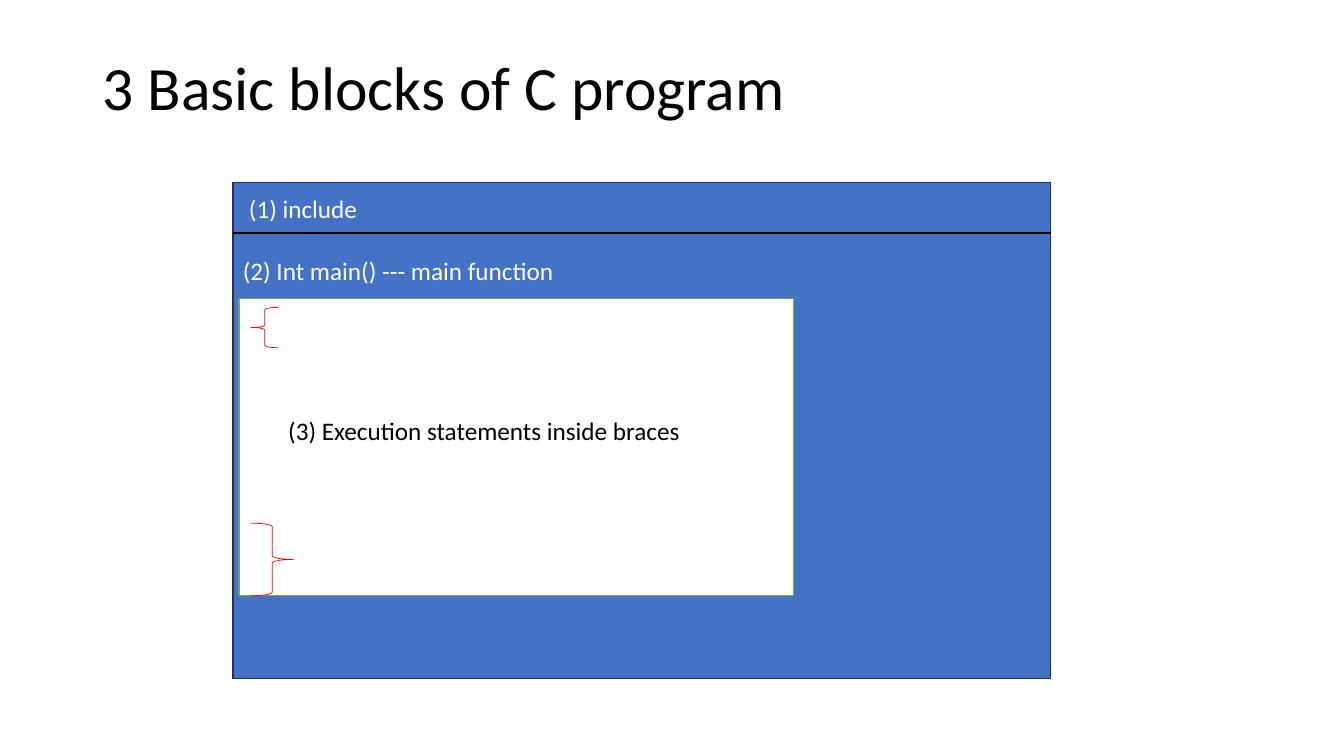
import dataclasses
import typing

import pptx
import pptx.dml.color
import pptx.enum.shapes
import pptx.enum.text
import pptx.oxml
import pptx.oxml.ns
import pptx.slide
import pptx.util

EMU_PER_PX = 9144  # 100 px to the inch
SHAPES = pptx.enum.shapes.MSO_SHAPE
ANCHORS = pptx.enum.text.MSO_ANCHOR


@dataclasses.dataclass(frozen=True)
class Theme:
    font: str = "Calibri"
    block: str = "4472C4"
    block_edge: str = "1E3256"
    body_edge: str = "70AD47"
    brace: str = "FF0000"
    white: str = "FFFFFF"
    black: str = "000000"
    title_size: int = 44
    label_size: int = 18


THEME = Theme()


class Box(typing.NamedTuple):
    left: int
    top: int
    width: int
    height: int


@dataclasses.dataclass(frozen=True)
class Figure:
    kind: SHAPES
    box: Box
    edge: str
    edge_width: float
    fill: typing.Optional[str] = None


@dataclasses.dataclass(frozen=True)
class Label:
    text: str
    box: Box
    color: str
    size: int = THEME.label_size
    anchor: ANCHORS = ANCHORS.TOP
    line_spacing: float = 1.0


PROGRAM = Box(231, 181, 811, 492)
DIVIDER_TOP = 231

PROGRAM_BLOCK = Figure(SHAPES.RECTANGLE, PROGRAM, THEME.block_edge, 1, THEME.block)
BODY_FIGURES = [
    Figure(SHAPES.RECTANGLE, Box(237, 296, 550, 295), THEME.body_edge, 1, THEME.white),
    Figure(SHAPES.LEFT_BRACE, Box(249, 305, 27, 40), THEME.brace, 0.5),
    Figure(SHAPES.RIGHT_BRACE, Box(249, 519, 42, 72), THEME.brace, 0.5),
]
LABELS = [
    Label("3 Basic blocks of C program", Box(92, 40, 1150, 99), THEME.black,
          THEME.title_size, ANCHORS.MIDDLE, 0.9),
    Label("(1) include", Box(237, 187, 419, 40), THEME.white),
    Label("(2) Int main() --- main function", Box(231, 248, 425, 40), THEME.white),
    Label("(3) Execution statements inside braces", Box(276, 407, 438, 40), THEME.black),
]


def px(length: int) -> pptx.util.Emu:
    return pptx.util.Emu(length * EMU_PER_PX)


def rgb(color: str) -> pptx.dml.color.RGBColor:
    return pptx.dml.color.RGBColor.from_string(color)


def draw_figure(slide: pptx.slide.Slide, figure: Figure) -> None:
    shape = slide.shapes.add_shape(figure.kind, *map(px, figure.box))
    shape.shadow.inherit = False
    if figure.fill:
        shape.fill.solid()
        shape.fill.fore_color.rgb = rgb(figure.fill)
    else:
        shape.fill.background()
    shape.line.color.rgb = rgb(figure.edge)
    shape.line.width = pptx.util.Pt(figure.edge_width)


def draw_divider(slide: pptx.slide.Slide) -> None:
    connector = slide.shapes.add_connector(
        pptx.enum.shapes.MSO_CONNECTOR.STRAIGHT,
        px(PROGRAM.left), px(DIVIDER_TOP),
        px(PROGRAM.left + PROGRAM.width), px(DIVIDER_TOP),
    )
    connector.line.color.rgb = rgb(THEME.black)
    connector.line.width = pptx.util.Pt(1.5)
    properties = connector._element.spPr
    properties.append(pptx.oxml.parse_xml(
        f"<a:effectLst {pptx.oxml.ns.nsdecls('a')}/>"))


def draw_label(slide: pptx.slide.Slide, label: Label) -> None:
    text_frame = slide.shapes.add_textbox(*map(px, label.box)).text_frame
    text_frame.word_wrap = True
    text_frame.vertical_anchor = label.anchor
    text_frame.text = label.text
    paragraph = text_frame.paragraphs[0]
    paragraph.line_spacing = label.line_spacing
    font = paragraph.runs[0].font
    font.name = THEME.font
    font.size = pptx.util.Pt(label.size)
    font.color.rgb = rgb(label.color)


def main() -> None:
    presentation = pptx.Presentation()
    presentation.slide_width = px(1333)
    presentation.slide_height = px(750)
    slide = presentation.slides.add_slide(presentation.slide_layouts[6])

    # Whole program, split below the include line
    draw_figure(slide, PROGRAM_BLOCK)
    draw_divider(slide)

    # Function body with its braces
    for figure in BODY_FIGURES:
        draw_figure(slide, figure)

    # Title and block names
    for label in LABELS:
        draw_label(slide, label)

    presentation.save("out.pptx")


if __name__ == "__main__":
    main()
